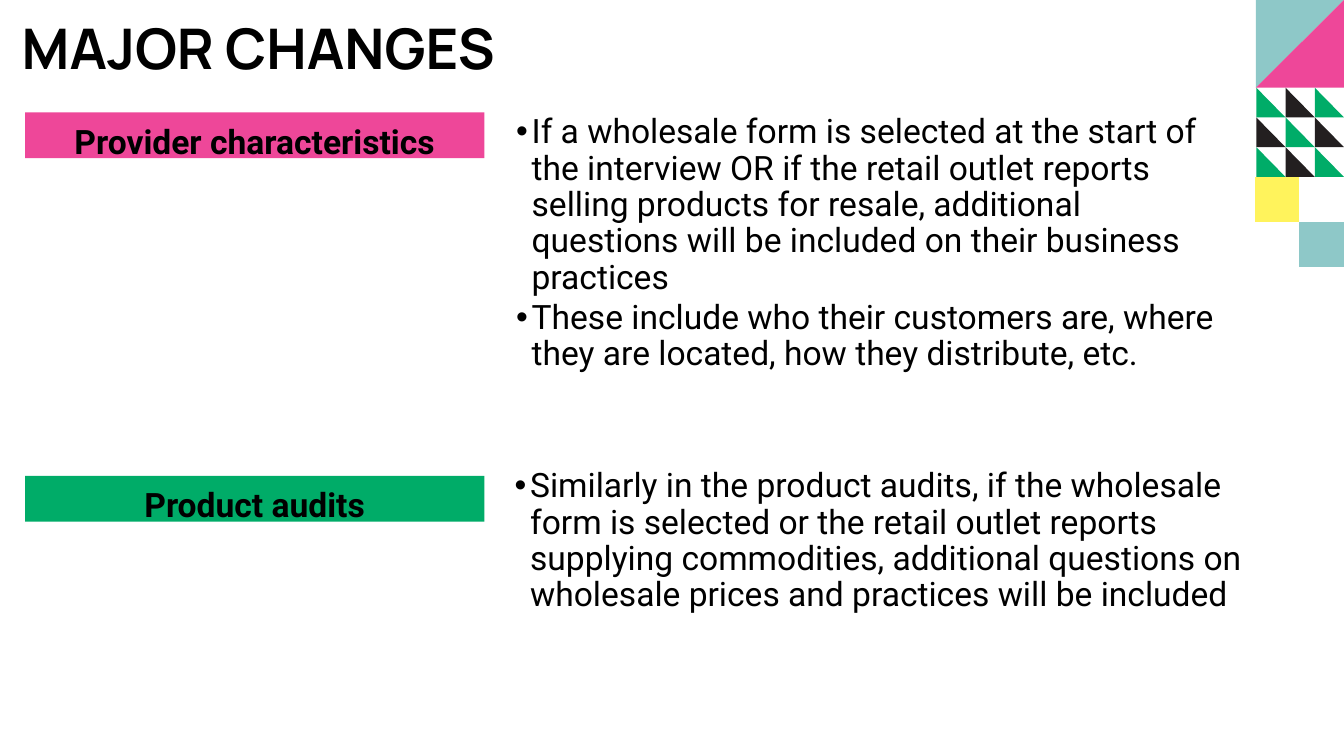
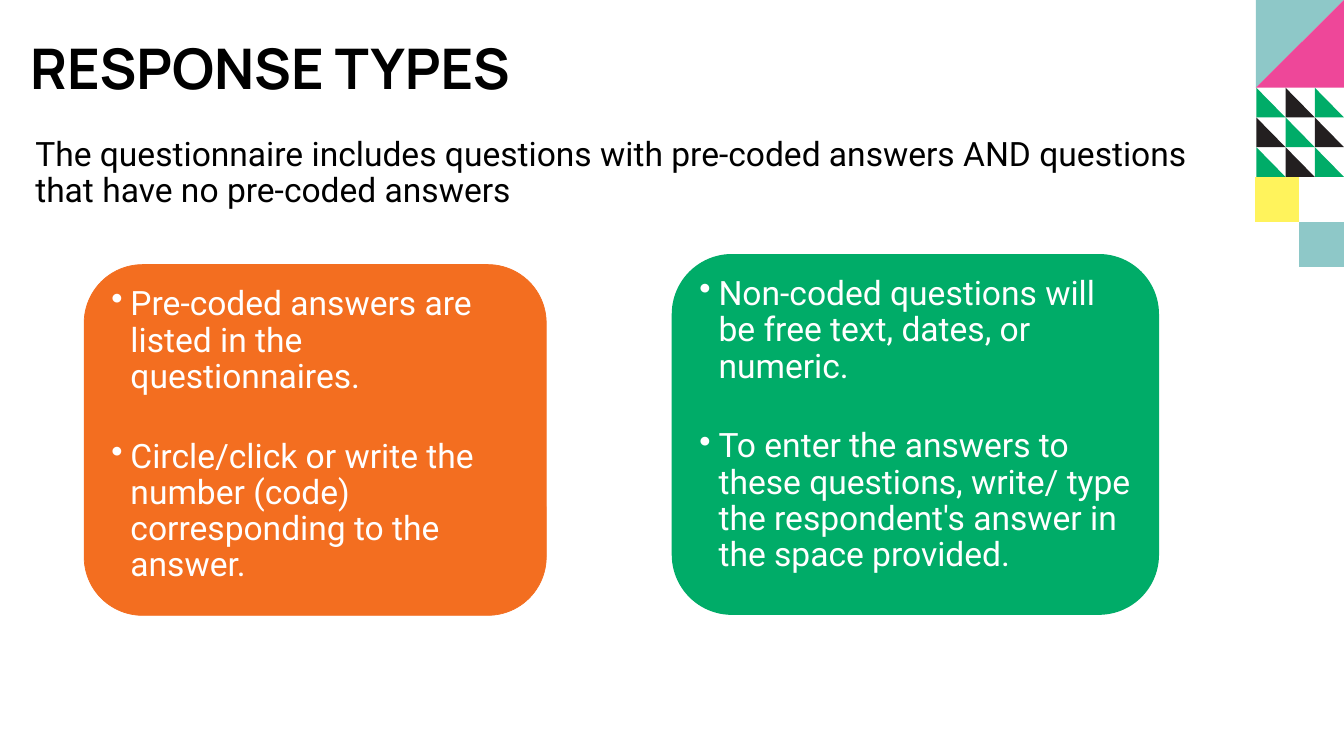
from lxml.etree import SubElement
from pptx import Presentation
from pptx.dml.color import RGBColor
from pptx.enum.shapes import MSO_SHAPE as Preset
from pptx.enum.text import MSO_ANCHOR as Anchor, MSO_AUTO_SIZE as AutoSize, PP_ALIGN as Align
from pptx.oxml.ns import qn
from pptx.util import Inches, Pt

TEAL, PINK, GREEN, DARK = "8EC8C8", "EE4799", "00AC68", "231F20"
YELLOW, ORANGE, BLACK, WHITE = "FFF35C", "F36E20", "000000", "FFFFFF"
TITLE_FONT, BODY_FONT = "Manrope", "Roboto"
TITLE_SIZE, BODY_SIZE = 80, 48
WIDE_INSETS = (0.2, 0.1, 0.2, 0.1)
BAND_INSETS = (0.2, 0.16, 0.2, 0)

CHANGES_TITLE = ("MAJOR CHANGES", (0.33, 0.35, 22.83, 1.32))
CHANGES = [
    ("Provider characteristics", PINK, (0.5, 2.23, 9.11, 0.91), (10.14, 2.23, 14.36, 4.55), [
        "If a wholesale form is selected at the start of the interview OR if the retail outlet "
        "reports selling products for resale, additional questions will be included on their "
        "business practices",
        "These include who their customers are, where they are located, how they distribute, etc.",
    ]),
    ("Product audits", GREEN, (0.5, 9.44, 9.11, 0.91), (10.11, 9.25, 15.06, 3.01), [
        "Similarly in the product audits, if the wholesale form is selected or the retail outlet "
        "reports supplying commodities, additional questions on wholesale prices and practices "
        "will be included",
    ]),
]

RESPONSE_TITLE = ("RESPONSE TYPES", (0.5, 0.75, 16.17, 1.32))
RESPONSE_INTRO = ("The questionnaire includes questions with pre-coded answers AND questions "
                  "that have no pre-coded answers")
INTRO_BOX = (0.5, 2.63, 24.08, 2.36)
RESPONSE_CARDS = [
    (ORANGE, (1.67, 5.25, 9.17, 6.96), [
        "Pre-coded answers are listed in the questionnaires.",
        "Circle/click or write the number (code) corresponding to the answer.",
    ]),
    (GREEN, (13.33, 5.04, 9.67, 7.16), [
        "Non-coded questions will be free text, dates, or numeric.",
        "To enter the answers to these questions, write/ type the respondent's answer in the "
        "space provided.",
    ]),
]

TILE_LEFT, TILE_TOP, TILE_WIDTH, TILE_HEIGHT = 24.93, 1.74, 0.58, 0.59


def rgb(color):
    """Turn a hex string into a colour."""
    return RGBColor.from_string(color)


def place(shape, box):
    """Move and size a shape in inches."""
    shape.left, shape.top, shape.width, shape.height = map(Inches, box)


def paint(shape, color):
    """Give a shape a flat fill without line or shadow."""
    shape.shadow.inherit = False
    shape.fill.solid()
    shape.fill.fore_color.rgb = rgb(color)
    shape.line.fill.background()


def set_insets(frame, insets):
    """Set the left, top, right and bottom text margins in inches."""
    (frame.margin_left, frame.margin_top,
     frame.margin_right, frame.margin_bottom) = map(Inches, insets)


def set_bullet(paragraph, indent, color):
    """Give a paragraph a hanging bullet, or none when the indent is zero."""
    properties = paragraph._p.get_or_add_pPr()
    properties.set("marL", str(Inches(indent)))
    properties.set("indent", str(-Inches(indent)))
    if indent:
        bullet_color = SubElement(properties, qn("a:buClr"))
        SubElement(bullet_color, qn("a:srgbClr"), val=color)
        SubElement(properties, qn("a:buChar"), char="•")
    else:
        SubElement(properties, qn("a:buNone"))


def style(paragraph, color=BLACK, font=BODY_FONT, size=BODY_SIZE, bold=False):
    """Set the font of a paragraph."""
    paragraph.font.name = font
    paragraph.font.size = Pt(size)
    paragraph.font.bold = bold
    paragraph.font.color.rgb = rgb(color)


def write_list(shape, items, indent=0, color=BLACK, gap=1):
    """Write paragraphs with shared spacing, bulleted when indented."""
    frame = shape.text_frame
    frame.word_wrap = True
    frame.auto_size = AutoSize.NONE
    frame.vertical_anchor = Anchor.TOP
    for index, item in enumerate(items):
        paragraph = frame.add_paragraph() if index else frame.paragraphs[0]
        paragraph.text = item
        paragraph.alignment = Align.LEFT
        paragraph.line_spacing = 0.9
        paragraph.space_before = Pt(gap if index else 0)
        paragraph.space_after = Pt(5)
        set_bullet(paragraph, indent, color)
        style(paragraph, color)


def add_slide(presentation, layout_index, title):
    """Add a slide and fill its title."""
    slide = presentation.slides.add_slide(presentation.slide_layouts[layout_index])
    text, box = title
    place(slide.shapes.title, box)
    frame = slide.shapes.title.text_frame
    frame.text = text
    frame.word_wrap = True
    frame.auto_size = AutoSize.SHAPE_TO_FIT_TEXT
    frame.vertical_anchor = Anchor.BOTTOM
    paragraph = frame.paragraphs[0]
    paragraph.alignment = Align.LEFT
    paragraph.line_spacing = 0.9
    style(paragraph, font=TITLE_FONT, size=TITLE_SIZE, bold=True)
    return slide


def add_block(slide, preset, box, color, insets):
    """Add a filled preset shape ready for text."""
    shape = slide.shapes.add_shape(preset, *map(Inches, box))
    paint(shape, color)
    set_insets(shape.text_frame, insets)
    return shape


def corner_polygons():
    """List the colour and points of each piece of the corner pattern."""
    left, right, bottom = 24.92, 26.67, TILE_TOP
    polygons = [
        (YELLOW, [(24.9, 3.51), (25.78, 3.51), (25.78, 4.41), (24.9, 4.41)]),
        (TEAL, [(25.78, 4.41), (right, 4.41), (right, 5.3), (25.78, 5.3)]),
        (TEAL, [(left, 0), (left, bottom), (right, 0)]),
        (PINK, [(left, bottom), (right, bottom), (right, 0)]),
    ]
    for row in range(3):
        for column in range(3):
            x, y = TILE_LEFT + column * TILE_WIDTH, TILE_TOP + row * TILE_HEIGHT
            color = DARK if (row + column) % 2 else GREEN
            points = [(x, y), (x, y + TILE_HEIGHT), (x + TILE_WIDTH, y + TILE_HEIGHT)]
            polygons.append((color, points))
    return polygons


def decorate_master(presentation, slide):
    """Build the corner pattern and move it to the slide master."""
    tree = presentation.slide_master.element.find(".//" + qn("p:spTree"))
    for number, (color, points) in enumerate(corner_polygons(), 101):
        start, *rest = [(Inches(x), Inches(y)) for x, y in points]
        builder = slide.shapes.build_freeform(*start)
        builder.add_line_segments(rest)
        shape = builder.convert_to_shape()
        paint(shape, color)
        shape.name = f"Corner piece {number - 100}"
        shape.element.find(".//" + qn("p:cNvPr")).set("id", str(number))
        tree.append(shape.element)


def build_changes(presentation):
    """Build the slide of major changes."""
    slide = add_slide(presentation, 3, CHANGES_TITLE)
    for index, (label, color, band_box, list_box, items) in enumerate(CHANGES, 1):
        body = slide.placeholders[index]
        place(body, list_box)
        write_list(body, items, indent=0.31)
        band = add_block(slide, Preset.RECTANGLE, band_box, color, BAND_INSETS)
        band.text_frame.text = label
        band.text_frame.vertical_anchor = Anchor.TOP
        paragraph = band.text_frame.paragraphs[0]
        paragraph.alignment = Align.CENTER
        style(paragraph, bold=True)
    return slide


def build_responses(presentation):
    """Build the slide of response types."""
    slide = add_slide(presentation, 1, RESPONSE_TITLE)
    intro = slide.placeholders[1]
    place(intro, INTRO_BOX)
    set_insets(intro.text_frame, WIDE_INSETS)
    write_list(intro, [RESPONSE_INTRO])
    for color, box, items in RESPONSE_CARDS:
        card = add_block(slide, Preset.ROUNDED_RECTANGLE, box, color, WIDE_INSETS)
        write_list(card, items, indent=0.38, color=WHITE, gap=57)
        if color == ORANGE:
            card.line.color.rgb = rgb(ORANGE)
            card.line.width = Pt(1)


def main():
    """Build and save the presentation."""
    presentation = Presentation()
    presentation.slide_width, presentation.slide_height = Inches(26.67), Inches(15)
    changes = build_changes(presentation)
    decorate_master(presentation, changes)
    build_responses(presentation)
    presentation.save("out.pptx")


if __name__ == "__main__":
    main()
